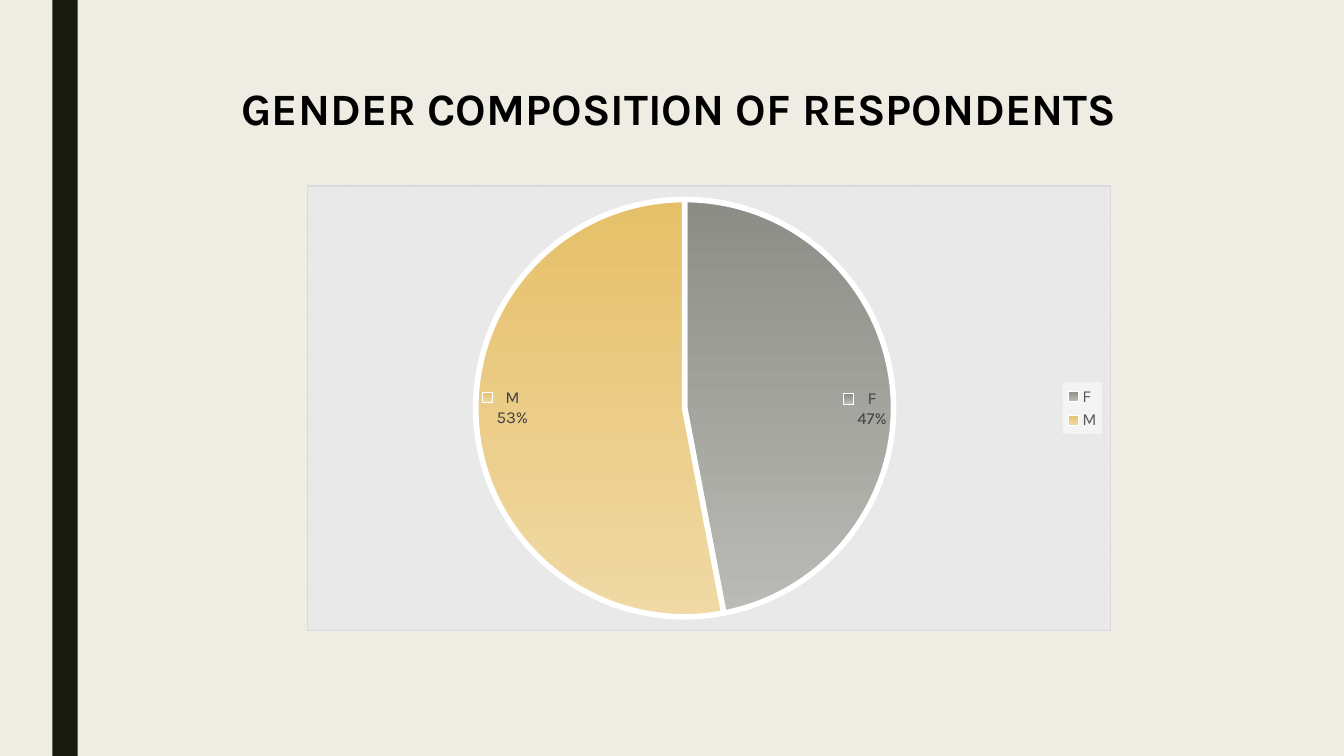
from dataclasses import dataclass

from lxml.etree import QName
from pptx import Presentation
from pptx.chart.data import CategoryChartData
from pptx.dml.color import RGBColor
from pptx.enum.chart import XL_CHART_TYPE, XL_LABEL_POSITION, XL_LEGEND_POSITION
from pptx.enum.shapes import MSO_SHAPE
from pptx.enum.text import MSO_ANCHOR, PP_ALIGN
from pptx.oxml import parse_xml
from pptx.oxml.ns import nsdecls, qn
from pptx.util import Inches, Pt


@dataclass(frozen=True)
class Theme:
    font: str = "Karla"
    background: str = "EFEDE3"
    bar: str = "191B0E"
    title: str = "000000"
    label: str = "404040"
    legend: str = "595959"
    white: str = "FFFFFF"
    chart_ground: str = "E6E6E6"
    chart_border: str = "D9D9D9"
    slices: tuple = (("8C8D86", "BABBB6"), ("E6C069", "F0D9A5"))
    title_size: int = 32
    chart_size: int = 12
    slice_line: int = 4


THEME = Theme()
WIDTH, HEIGHT = 13.33, 7.5
TITLE_BOX = (0.61, 0.7, 12.26, 0.81)
BAR_BOX = (0.52, 0, 0.25, HEIGHT)
CHART_BOX = (3.04, 1.84, 7.98, 4.42)
PIE_SHARE = {"x": 0.21, "y": 0.03, "w": 0.52, "h": 0.94}
RESPONDENTS = {"F": 47, "M": 53}


def color(value):
    return RGBColor.from_string(value)


def inches(box):
    return [Inches(length) for length in box]


def format_font(font, size, fill, bold=False):
    font.name = THEME.font
    font.size = Pt(size)
    font.bold = bold
    font.color.rgb = color(fill)


def write_text(shape, text, size, fill, bold=False, align=PP_ALIGN.CENTER):
    frame = shape.text_frame
    frame.word_wrap = True
    frame.vertical_anchor = MSO_ANCHOR.MIDDLE
    paragraph = frame.paragraphs[0]
    paragraph.alignment = align
    paragraph.line_spacing = 0.9
    paragraph.space_after = Pt(6)
    run = paragraph.add_run()
    run.text = text
    format_font(run.font, size, fill, bold)


def add_bar(slide, box, fill):
    bar = slide.shapes.add_shape(MSO_SHAPE.RECTANGLE, *inches(box))
    bar.shadow.inherit = False
    bar.fill.solid()
    bar.fill.fore_color.rgb = color(fill)
    bar.line.fill.background()


def add_title(slide, text):
    title = slide.shapes.title
    title.left, title.top, title.width, title.height = inches(TITLE_BOX)
    write_text(title, text, THEME.title_size, THEME.title, bold=True)


def chart_element(tag, content):
    return parse_xml(f"<c:{tag} {nsdecls('c', 'a')}>{content}</c:{tag}>")


def rgb_xml(value, alpha=100):
    return f'<a:srgbClr val="{value}"><a:alpha val="{alpha * 1000}"/></a:srgbClr>'


def style_ground(chart_space):
    ground = chart_element(
        "spPr",
        f'<a:pattFill prst="dkDnDiag"><a:fgClr>{rgb_xml(THEME.chart_ground)}</a:fgClr>'
        f"<a:bgClr>{rgb_xml('EAEAEA')}</a:bgClr></a:pattFill>"
        f'<a:ln w="9525"><a:solidFill>{rgb_xml(THEME.chart_border)}</a:solidFill></a:ln>',
    )
    chart_space.find(qn("c:chart")).addnext(ground)


def place_pie(plot_area):
    for child in list(plot_area):
        if QName(child).localname == "layout":
            plot_area.remove(child)
    modes = '<c:layoutTarget val="inner"/><c:xMode val="edge"/><c:yMode val="edge"/>'
    shares = "".join(f'<c:{key} val="{share}"/>' for key, share in PIE_SHARE.items())
    layout = f"<c:manualLayout>{modes}{shares}</c:manualLayout>"
    plot_area.insert(0, chart_element("layout", layout))


def style_slices(series):
    for index, slice_colors in enumerate(THEME.slices):
        slice_format = series.points[index].format
        slice_format.fill.gradient()
        slice_format.fill.gradient_angle = 270
        for stop, value, position in zip(slice_format.fill.gradient_stops, slice_colors, (0, 1)):
            stop.color.rgb = color(value)
            stop.position = position
        slice_format.line.width = Pt(THEME.slice_line)
        slice_format.line.color.rgb = color(THEME.white)


def style_labels(series):
    labels = series.data_labels
    format_font(labels.font, THEME.chart_size, THEME.label)
    labels.position = XL_LABEL_POSITION.INSIDE_END
    labels.show_value = False
    labels.show_legend_key = True
    labels.show_category_name = True
    labels.show_percentage = True
    last_flag = labels._element.find(qn("c:showBubbleSize"))
    if last_flag is None:
        last_flag = labels._element.find(qn("c:showPercent"))
    last_flag.addnext(chart_element("separator", "\n"))


def style_legend(chart):
    chart.has_legend = True
    legend = chart.legend
    legend.position = XL_LEGEND_POSITION.RIGHT
    legend.include_in_layout = False
    format_font(legend.font, THEME.chart_size, THEME.legend)
    panel = f"<a:solidFill>{rgb_xml(THEME.white, 50)}</a:solidFill>"
    legend._element.find(qn("c:overlay")).addnext(chart_element("spPr", panel))


def add_pie(slide, name, shares):
    data = CategoryChartData()
    data.categories = list(shares)
    data.add_series(name, list(shares.values()))
    chart = slide.shapes.add_chart(XL_CHART_TYPE.PIE, *inches(CHART_BOX), data).chart
    chart.has_title = False
    format_font(chart.font, THEME.chart_size, THEME.label)
    chart.plots[0].vary_by_categories = True
    series = chart.plots[0].series[0]
    style_slices(series)
    style_labels(series)
    style_legend(chart)
    style_ground(chart._chartSpace)
    place_pie(chart._chartSpace.chart.plotArea)


def main():
    presentation = Presentation()
    presentation.slide_width, presentation.slide_height = Inches(WIDTH), Inches(HEIGHT)
    slide = presentation.slides.add_slide(presentation.slide_layouts[5])
    slide.background.fill.solid()
    slide.background.fill.fore_color.rgb = color(THEME.background)
    add_bar(slide, BAR_BOX, THEME.bar)
    add_title(slide, "GENDER COMPOSITION OF RESPONDENTS")
    add_pie(slide, "Series 1", RESPONDENTS)
    presentation.save("out.pptx")


if __name__ == "__main__":
    main()
